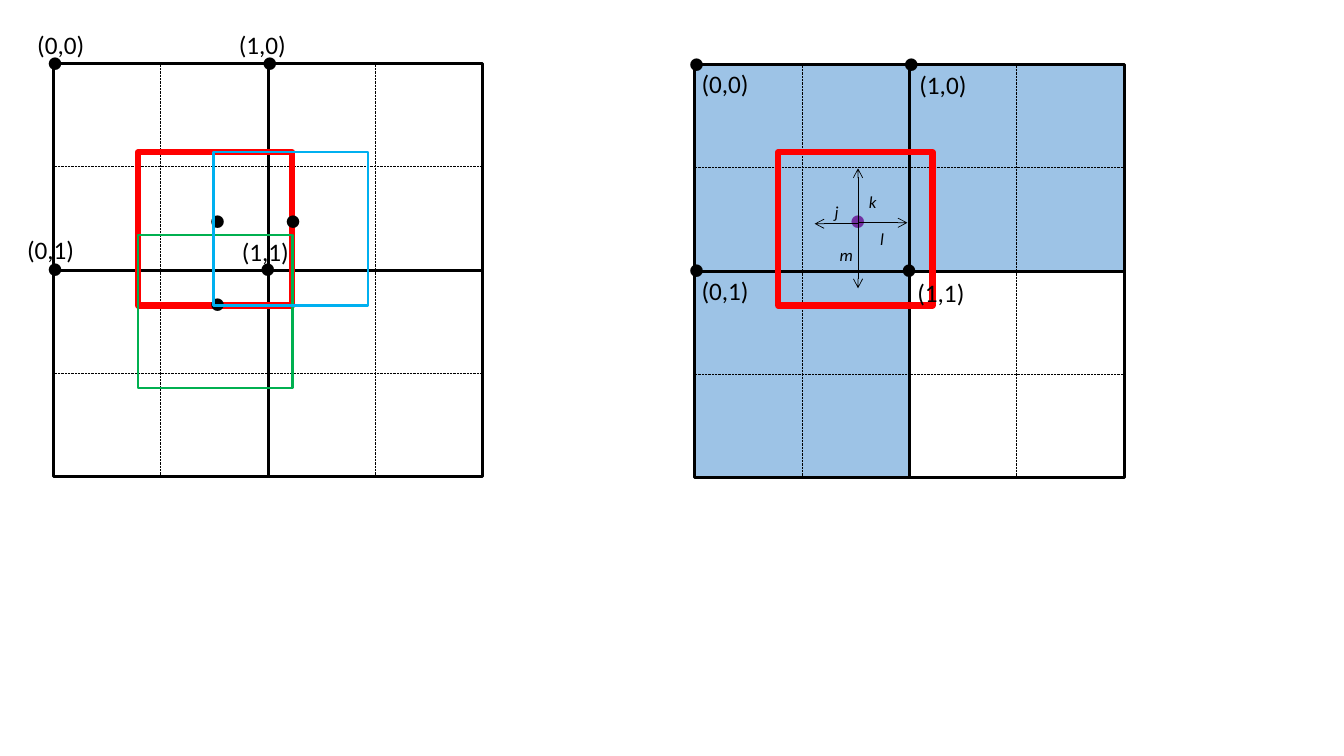
from dataclasses import dataclass
from itertools import product

from lxml import etree
from pptx import Presentation
from pptx import util as u
from pptx.dml.color import RGBColor
from pptx.enum import dml, shapes, text
from pptx.oxml.ns import qn

CELL_WIDTH, CELL_HEIGHT = 2.13, 2.05
WINDOW_WIDTH, WINDOW_HEIGHT = 1.53, 1.52
CORNERS = list(product(range(2), repeat=2))
BLACK, RED, GREEN, BLUE = "000000", "FF0000", "00B050", "00B0F0"
SHADE, PURPLE = "9DC3E6", "7030A0"


@dataclass
class Window:
    left: float
    top: float
    color: str
    weight: float
    dot_color: str = BLACK


@dataclass
class Label:
    caption: str
    left: float
    top: float


@dataclass
class Panel:
    left: float
    top: float
    shaded: list[tuple[int, int]]
    windows: list[Window]
    labels: list[Label]


@dataclass
class Offset:
    name: Label
    start: tuple[float, float]
    end: tuple[float, float]


PANELS = [
    Panel(0.53, 0.63, [],
          [Window(1.37, 1.51, RED, 4.5), Window(1.37, 2.33, GREEN, 1.75), Window(2.12, 1.51, BLUE, 1.75)],
          [Label("(0,0)", 0.27, 0.24), Label("(1,0)", 2.27, 0.24),
           Label("(0,1)", 0.17, 2.28), Label("(1,1)", 2.3, 2.3)]),
    Panel(6.89, 0.64, [(0, 0), (1, 0), (0, 1)],
          [Window(7.72, 1.51, RED, 4.5, PURPLE)],
          [Label("(0,0)", 6.86, 0.63), Label("(1,0)", 9.02, 0.64),
           Label("(0,1)", 6.86, 2.68), Label("(1,1)", 9, 2.7)]),
]
OFFSETS = [
    Offset(Label("k", 8.52, 1.85), (8.51, 2.21), (8.51, 1.67)),
    Offset(Label("m", 8.23, 2.38), (8.51, 2.21), (8.51, 2.86)),
    Offset(Label("l", 8.63, 2.22), (8.51, 2.21), (9, 2.21)),
    Offset(Label("j", 8.18, 1.95), (8.51, 2.22), (8.08, 2.22)),
]

presentation = Presentation()
presentation.slide_width, presentation.slide_height = u.Inches(13.33), u.Inches(7.5)
slide = presentation.slides.add_slide(presentation.slide_layouts[6])


def rgb(color: str) -> RGBColor:
    return RGBColor.from_string(color)


def add_rectangle(left: float, top: float, width: float, height: float,
                  color: str, weight: float, fill: str = "") -> None:
    shape = slide.shapes.add_shape(shapes.MSO_SHAPE.RECTANGLE, *map(u.Inches, (left, top, width, height)))
    shape.shadow.inherit = False
    shape.line.color.rgb = rgb(color)
    shape.line.width = u.Pt(weight)
    if fill:
        shape.fill.solid()
        shape.fill.fore_color.rgb = rgb(fill)
    else:
        shape.fill.background()


def add_line(start: tuple[float, float], end: tuple[float, float], arrow: bool = False) -> None:
    connector = slide.shapes.add_connector(shapes.MSO_CONNECTOR.STRAIGHT, *map(u.Inches, start + end))
    connector.line.color.rgb = rgb(BLACK)
    connector.line.width = u.Pt(0.5)
    properties = connector._element.spPr
    if arrow:
        etree.SubElement(properties.find(qn("a:ln")), qn("a:tailEnd"), type="arrow")
    else:
        connector.line.dash_style = dml.MSO_LINE.ROUND_DOT
    etree.SubElement(properties, qn("a:effectLst"))


def add_text(label: Label, width: float, height: float, size: float, font_name: str = "Calibri",
             color: str = BLACK, italic: bool = False, wrap: bool = True) -> None:
    box = slide.shapes.add_textbox(*map(u.Inches, (label.left, label.top, width, height)))
    frame = box.text_frame
    frame.word_wrap = wrap
    frame.auto_size = text.MSO_AUTO_SIZE.SHAPE_TO_FIT_TEXT
    paragraph = frame.paragraphs[0]
    paragraph.text = label.caption
    font = paragraph.font
    font.size, font.name, font.italic = u.Pt(size), font_name, italic
    font.color.rgb = rgb(color)
    etree.SubElement(font._element, qn("a:ea"), typeface=font_name)


def add_dot(left: float, top: float, color: str = BLACK, wrap: bool = True) -> None:
    add_text(Label("●", left, top), 0.31, 0.27, 10, "Noto Sans CJK SC", color, wrap=wrap)


def add_cell(left: float, top: float, fill: str) -> None:
    right, bottom = left + CELL_WIDTH, top + CELL_HEIGHT
    middle_x, middle_y = left + CELL_WIDTH / 2, top + CELL_HEIGHT / 2
    add_rectangle(left, top, CELL_WIDTH, CELL_HEIGHT, BLACK, 2, fill)
    add_line((left, middle_y), (right, middle_y))
    add_line((middle_x, top), (middle_x, bottom))


def add_panel(panel: Panel) -> None:
    for row, column in CORNERS:
        fill = SHADE if (column, row) in panel.shaded else ""
        add_cell(panel.left + column * CELL_WIDTH, panel.top + row * CELL_HEIGHT, fill)
    for window in panel.windows:
        add_rectangle(window.left, window.top, WINDOW_WIDTH, WINDOW_HEIGHT, window.color, window.weight)
        add_dot(window.left + 0.62, window.top + 0.56, window.dot_color, wrap=False)
    for row, column in CORNERS:
        inner_shift = 0.02 * row * column
        add_dot(panel.left + column * CELL_WIDTH - 0.15 - inner_shift, panel.top + row * CELL_HEIGHT - 0.13)
    for label in panel.labels:
        add_text(label, 0.81, 0.4, 18)


for panel in PANELS:
    add_panel(panel)
for offset in OFFSETS:
    add_line(offset.start, offset.end, arrow=True)
    add_text(offset.name, 0.28 if offset.name.caption == "m" else 0.22, 0.3, 12, italic=True)

presentation.save("out.pptx")
